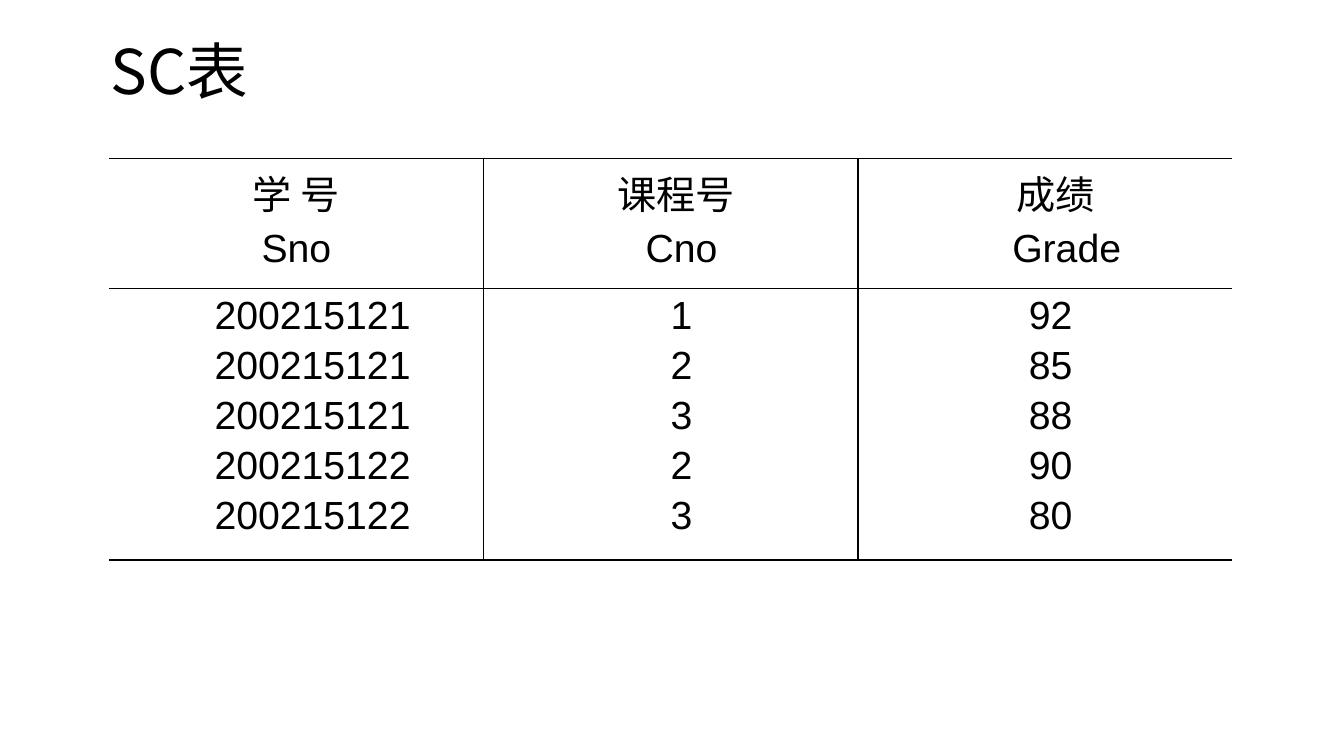
"""Build the SC table slide: student number, course number and grade."""
from lxml import etree
from pptx import Presentation
from pptx.dml.color import RGBColor
from pptx.enum.text import MSO_ANCHOR, PP_ALIGN
from pptx.oxml.ns import qn
from pptx.util import Cm, Pt

BLACK = RGBColor(0, 0, 0)
LATIN_FONT, CHINESE_FONT = "Arial", "Noto Sans CJK SC"
CENTER, MIDDLE = PP_ALIGN.CENTER, MSO_ANCHOR.MIDDLE
SPACE_WIDTH = Cm(0.27)

COLUMN_WIDTHS = [Cm(9.44), Cm(9.43), Cm(9.44)]
ROW_HEIGHTS = [Cm(3.27), Cm(6.53)]
HEADERS = [
    [("学 号", 0), ("Sno", 0)],
    [("课程号", 1), ("Cno", 2)],
    [("成绩", 2), ("Grade", 4)],
]
RECORDS = [
    ("200215121", "1", "92"),
    ("200215121", "2", "85"),
    ("200215121", "3", "88"),
    ("200215122", "2", "90"),
    ("200215122", "3", "80"),
]
RECORD_INDENTS = [3, 2, 1]


def add_span(para, text, size, font_name):
    """Add one run with its Latin and Chinese fonts."""
    span = para.add_run()
    span.text = text
    span.font.size = Pt(size)
    span.font.name = font_name
    span.font.color.rgb = BLACK
    chinese = etree.SubElement(span.font._element, qn("a:ea"))
    chinese.set("typeface", CHINESE_FONT)


def add_border(cell, side, visible):
    """Draw or hide the border on one side of a cell."""
    line = etree.SubElement(cell._tc.get_or_add_tcPr(), qn(f"a:ln{side}"), w=str(Pt(1)))
    if visible:
        fill = etree.SubElement(line, qn("a:solidFill"))
        etree.SubElement(fill, qn("a:srgbClr"), val=str(BLACK))
    else:
        etree.SubElement(line, qn("a:noFill"))


deck = Presentation()
deck.slide_width, deck.slide_height = Cm(33.87), Cm(19.05)
page = deck.slides.add_slide(deck.slide_layouts[6])

title_box = page.shapes.add_textbox(Cm(2.54), Cm(0.74), Cm(20.32), Cm(2.26))
title_frame = title_box.text_frame
title_frame.word_wrap = True
title_frame.vertical_anchor = MIDDLE
title_para = title_frame.paragraphs[0]
title_para.line_spacing = 0.9
add_span(title_para, "SC表", 44, CHINESE_FONT)

table = page.shapes.add_table(
    len(ROW_HEIGHTS), len(COLUMN_WIDTHS), Cm(2.75), Cm(4),
    sum(COLUMN_WIDTHS), sum(ROW_HEIGHTS),
).table
table.first_row = False
table.horz_banding = False
for column, width in zip(table.columns, COLUMN_WIDTHS):
    column.width = width
for row, height in zip(table.rows, ROW_HEIGHTS):
    row.height = height

records = [
    [(value, indent) for value in values]
    for values, indent in zip(zip(*RECORDS), RECORD_INDENTS)
]
last_column = len(COLUMN_WIDTHS) - 1
for row_index, row_content in enumerate([HEADERS, records]):
    for column_index, lines in enumerate(row_content):
        cell = table.cell(row_index, column_index)
        cell.margin_left = cell.margin_right = Cm(0.33)
        cell.margin_top = cell.margin_bottom = Cm(0.13)
        add_border(cell, "L", column_index > 0)
        add_border(cell, "R", column_index < last_column)
        add_border(cell, "T", True)
        add_border(cell, "B", True)
        cell.fill.background()
        for line_index, (text, indent) in enumerate(lines):
            frame = cell.text_frame
            para = frame.add_paragraph() if line_index else frame.paragraphs[0]
            para.alignment = CENTER
            para.space_before = Pt(4.6 if line_index else 0)
            para._p.get_or_add_pPr().set("marL", str(indent * SPACE_WIDTH))
            add_span(para, text, 28, LATIN_FONT)

deck.save("out.pptx")
